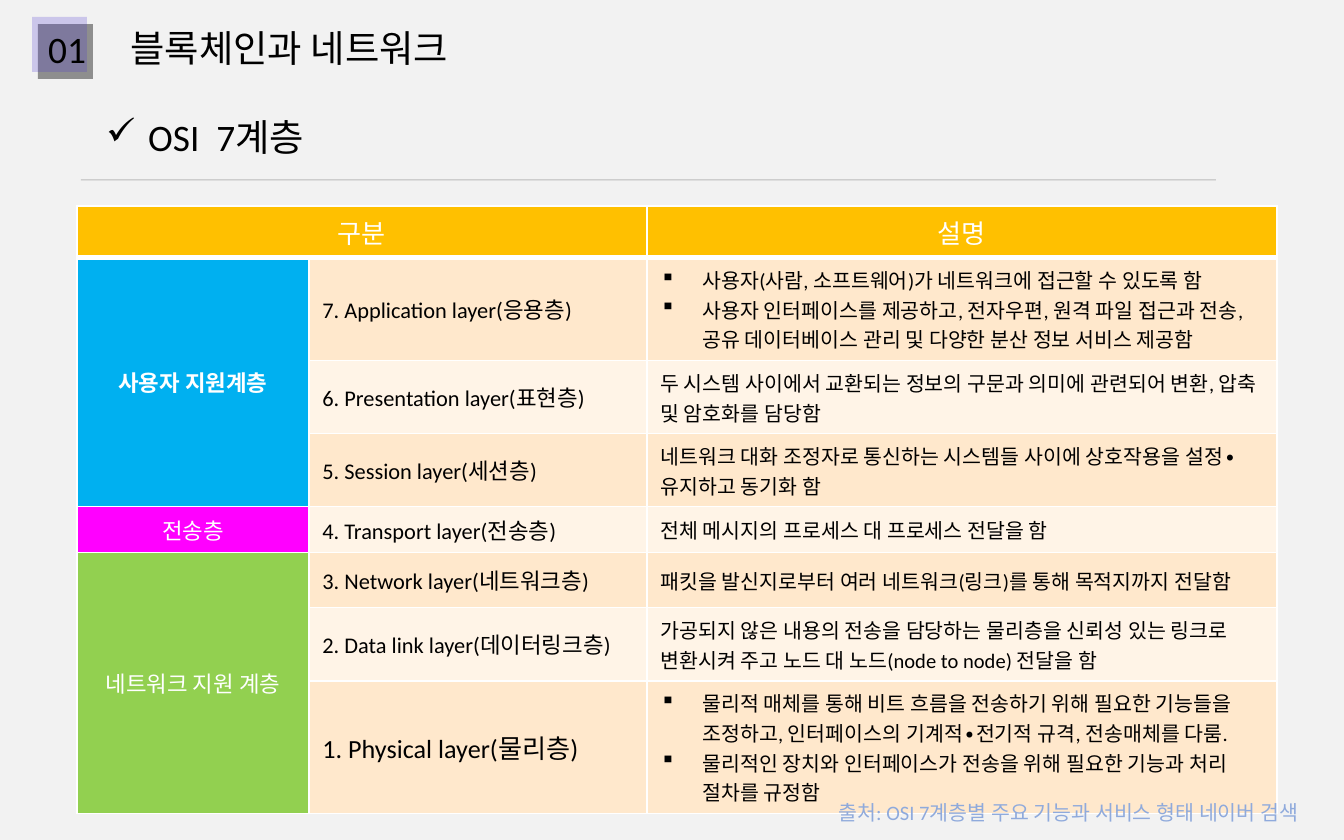
"""Build the OSI 7-layer table slide."""
from lxml import etree
from pptx import Presentation
from pptx.dml.color import RGBColor
from pptx.enum.shapes import MSO_CONNECTOR, MSO_SHAPE
from pptx.enum.text import MSO_ANCHOR, MSO_AUTO_SIZE, PP_ALIGN
from pptx.oxml.ns import qn
from pptx.util import Pt

LINE, RECT = MSO_CONNECTOR.STRAIGHT, MSO_SHAPE.RECTANGLE
MIDDLE, NO_FIT = MSO_ANCHOR.MIDDLE, MSO_AUTO_SIZE.NONE
LEFT, CENTER = PP_ALIGN.LEFT, PP_ALIGN.CENTER
FONT = "Calibri"
BLACK, WHITE = RGBColor(0, 0, 0), RGBColor(255, 255, 255)
BACKGROUND = RGBColor(0xF2, 0xF2, 0xF2)
PURPLE = RGBColor(0x4A, 0x36, 0xD0)
RULE = RGBColor(0x0D, 0x0D, 0x0D)
AMBER = RGBColor(0xFF, 0xC0, 0x00)
BLUE = RGBColor(0x00, 0xB0, 0xF0)
MAGENTA = RGBColor(0xFF, 0x00, 0xFF)
GREEN = RGBColor(0x92, 0xD0, 0x50)
BANDS = RGBColor(0xFF, 0xE8, 0xCC), RGBColor(0xFF, 0xF4, 0xE7)
SOURCE_BLUE = RGBColor(0x8F, 0xAA, 0xDC)

TITLE, NUMBER, SUBTITLE = "블록체인과 네트워크", "01", "OSI  7계층"
SOURCE = "출처: OSI 7계층별 주요 기능과 서비스 형태 네이버 검색"
HEADERS = [(0, "구분"), (2, "설명")]
GROUPS = [
    ("사용자 지원계층", BLUE, 3, True),
    ("전송층", MAGENTA, 1, False),
    ("네트워크 지원 계층", GREEN, 3, False),
]
LAYERS = [
    ("7. Application layer(응용층)", 12, [
        "사용자(사람, 소프트웨어)가 네트워크에 접근할 수 있도록 함",
        "사용자 인터페이스를 제공하고, 전자우편, 원격 파일 접근과 전송, 공유 데이터베이스 관리 및 다양한 분산 정보 서비스 제공함"]),
    ("6. Presentation layer(표현층)", 12, [
        "두 시스템 사이에서 교환되는 정보의 구문과 의미에 관련되어 변환, 압축 및 암호화를 담당함"]),
    ("5. Session layer(세션층)", 12, [
        "네트워크 대화 조정자로 통신하는 시스템들 사이에 상호작용을 설정∙유지하고 동기화 함"]),
    ("4. Transport layer(전송층)", 12, ["전체 메시지의 프로세스 대 프로세스 전달을 함"]),
    ("3. Network layer(네트워크층)", 12, [
        "패킷을 발신지로부터 여러 네트워크(링크)를 통해 목적지까지 전달함"]),
    ("2. Data link layer(데이터링크층)", 12, [
        "가공되지 않은 내용의 전송을 담당하는 물리층을 신뢰성 있는 링크로 변환시켜 주고 노드 대 노드(node to node) 전달을 함"]),
    ("1. Physical layer(물리층)", 14, [
        "물리적 매체를 통해 비트 흐름을 전송하기 위해 필요한 기능들을 조정하고, 인터페이스의 기계적∙전기적 규격, 전송매체를 다룸.",
        "물리적인 장치와 인터페이스가 전송을 위해 필요한 기능과 처리 절차를 규정함"]),
]
COL_WIDTHS = [232, 338, 630]
ROW_HEIGHTS = [38, 103, 55, 55, 35, 55, 70, 120]


def px(n):
    return round(n * 914400 / 134.4)


def set_alpha(fill_parent, percent):
    color = fill_parent.find(".//" + qn("a:srgbClr"))
    etree.SubElement(color, qn("a:alpha"), val=str(percent * 1000))


def write(tf, lines, size, color, align=LEFT, bold=False, bullet=None):
    tf.text = "\n".join(lines)
    for p in tf.paragraphs:
        if bullet:
            pPr = p._p.get_or_add_pPr()
            pPr.set("marL", str(px(42)))
            pPr.set("indent", str(-px(42)))
            etree.SubElement(pPr, qn("a:buChar"), char=bullet)
        p.alignment = align
        for r in p.runs:
            r.font.name, r.font.size, r.font.bold = FONT, Pt(size), bold
            r.font.color.rgb = color


def place_heading(s, left, top, width, height, text, bullet=None):
    s.left, s.top, s.width, s.height = map(px, (left, top, width, height))
    tf = s.text_frame
    tf.word_wrap, tf.auto_size, tf.vertical_anchor = True, NO_FIT, MIDDLE
    write(tf, [text], 20, BLACK, bullet=bullet)
    tf.paragraphs[0].line_spacing = 0.9


def add_square(shapes, left, top, color, opacity):
    s = shapes.add_shape(RECT, px(left), px(top), px(55), px(55))
    s.shadow.inherit = False
    s.fill.solid()
    s.fill.fore_color.rgb = color
    set_alpha(s._element.spPr, opacity)
    s.line.fill.background()


def style_cell(cell, color, bottom=1):
    tcPr = cell._tc.get_or_add_tcPr()
    for side, width in (("L", 1), ("R", 1), ("T", 1), ("B", bottom)):
        ln = etree.SubElement(tcPr, qn("a:ln" + side), w=str(Pt(width)))
        fill = etree.SubElement(ln, qn("a:solidFill"))
        etree.SubElement(fill, qn("a:srgbClr"), val=str(WHITE))
    cell.fill.solid()
    cell.fill.fore_color.rgb = color
    cell.vertical_anchor = MIDDLE


def add_layer_table(shapes):
    frame = shapes.add_table(len(ROW_HEIGHTS), len(COL_WIDTHS), px(77), px(206),
                             px(sum(COL_WIDTHS)), px(583))
    table = frame.table
    table.horz_banding = False
    for col, width in zip(table.columns, COL_WIDTHS):
        col.width = px(width)
    for row, height in zip(table.rows, ROW_HEIGHTS):
        row.height = px(height)
    frame.height = px(583)

    for c in range(len(COL_WIDTHS)):
        style_cell(table.cell(0, c), AMBER, bottom=3)
    for c, text in HEADERS:
        write(table.cell(0, c).text_frame, [text], 14, WHITE, CENTER)
    table.cell(0, 0).merge(table.cell(0, 1))

    for i, (name, size, notes) in enumerate(LAYERS):
        name_cell, note_cell = table.cell(i + 1, 1), table.cell(i + 1, 2)
        for cell in (name_cell, note_cell):
            style_cell(cell, BANDS[i % 2])
        write(name_cell.text_frame, [name], size, BLACK)
        write(note_cell.text_frame, notes, 11, BLACK,
              bullet="▪" if len(notes) > 1 else None)

    top = 1
    for text, color, span, bold in GROUPS:
        for r in range(top, top + span):
            style_cell(table.cell(r, 0), color)
        write(table.cell(top, 0).text_frame, [text], 12, WHITE, CENTER, bold)
        if span > 1:
            table.cell(top, 0).merge(table.cell(top + span - 1, 0))
        top += span


def main():
    prs = Presentation()
    prs.slide_width, prs.slide_height = px(1344), px(840)
    slide = prs.slides.add_slide(prs.slide_layouts[5])
    slide.background.fill.solid()
    slide.background.fill.fore_color.rgb = BACKGROUND
    shapes = slide.shapes

    add_square(shapes, 38, 24, BLACK, 41)
    add_square(shapes, 32, 17, PURPLE, 23)
    rule = shapes.add_connector(LINE, px(81), px(180), px(1216), px(180))
    rule.line.color.rgb, rule.line.width = RULE, Pt(0.5)
    set_alpha(rule.line._ln, 23)
    etree.SubElement(rule._element.spPr, qn("a:effectLst"))

    place_heading(shapes.title, 117, 27, 1159, 47, TITLE)
    place_heading(shapes.add_textbox(0, 0, 0, 0), 93, 116, 1159, 47, SUBTITLE, "✓")
    place_heading(shapes.add_textbox(0, 0, 0, 0), 35, 27, 75, 48, NUMBER)
    add_layer_table(shapes)

    source = shapes.add_textbox(px(825), px(793), px(579), px(39)).text_frame
    source.word_wrap = True
    write(source, [SOURCE], 11, SOURCE_BLUE)
    prs.save("out.pptx")


if __name__ == "__main__":
    main()
